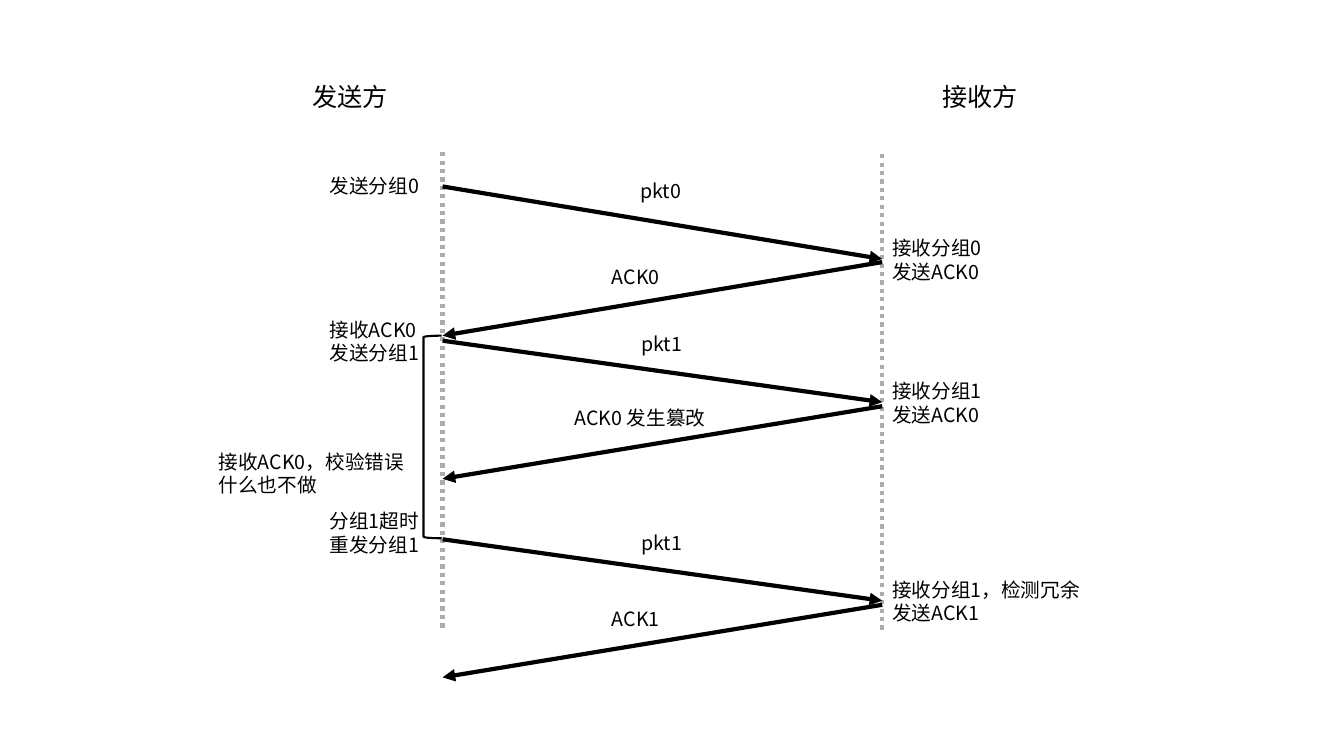
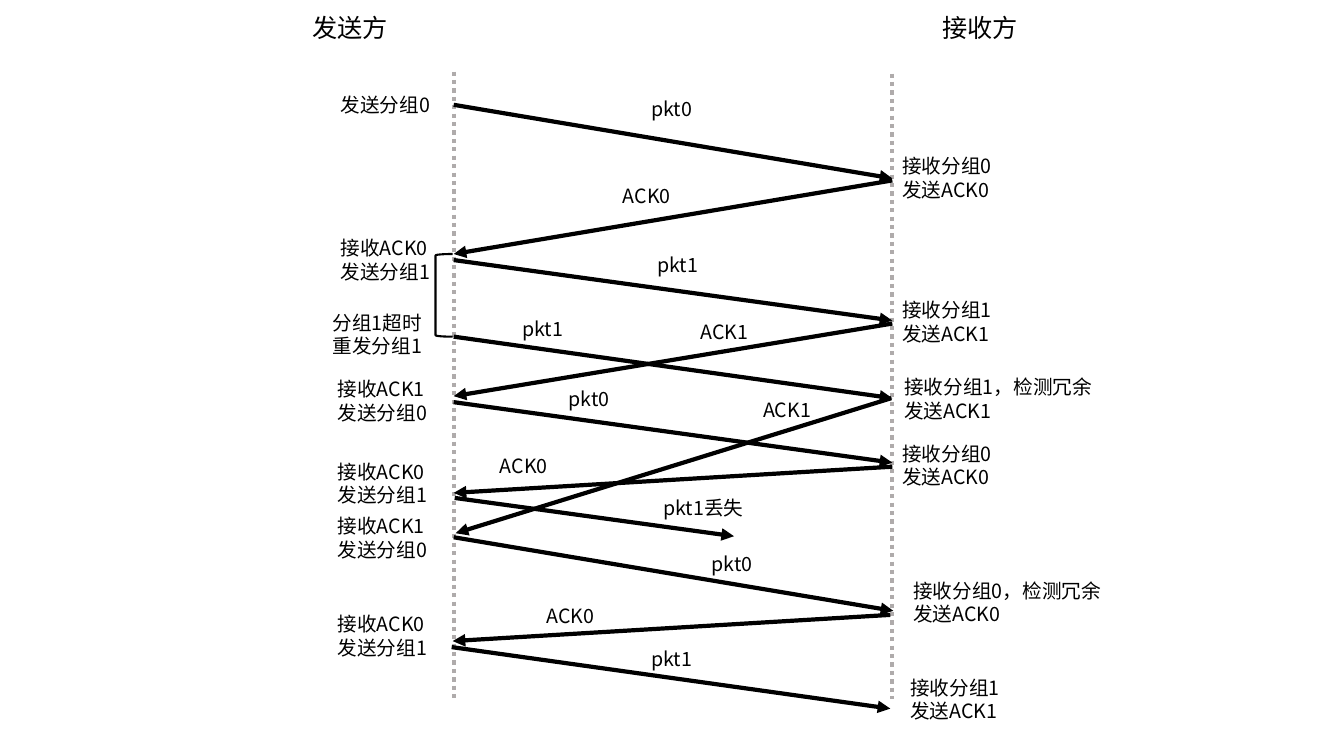
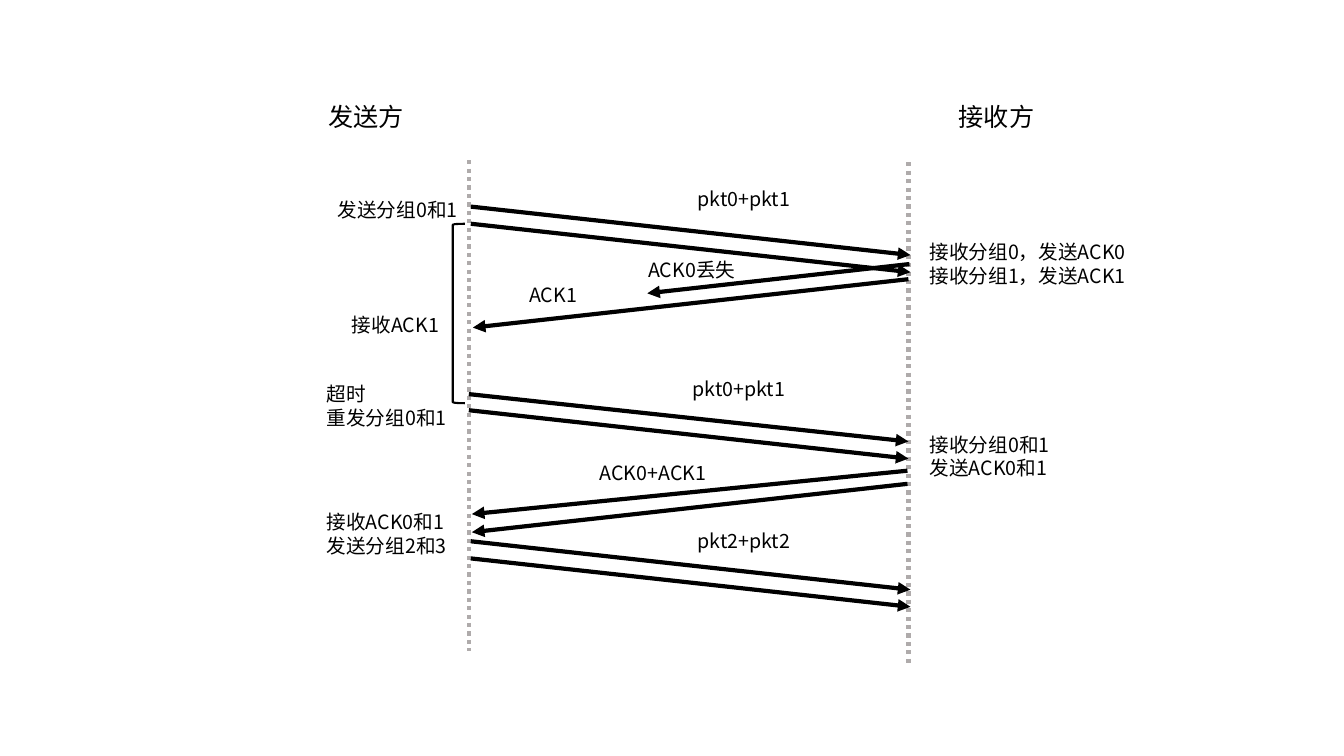
import dataclasses
import lxml.etree
import pptx
import pptx.dml.color
import pptx.enum.dml
import pptx.enum.shapes
import pptx.enum.text
import pptx.oxml.ns
import pptx.util

Inches = pptx.util.Inches
Pt = pptx.util.Pt
qn = pptx.oxml.ns.qn


@dataclasses.dataclass(frozen=True)
class Theme:
    font: str = "Noto Sans CJK SC"
    ink: str = "000000"
    lifeline: str = "AFABAB"
    head: int = 18
    body: int = 14
    leading: float = 1.21
    stroke: float = 3
    bracket: float = 1.5


theme = Theme()


def add_label(slide, left, top, width, text, size=theme.body):
    lines = text.split("\n")
    pitch = size * theme.leading
    height = 0.1 + len(lines) * pitch / 72
    sp = slide.shapes.add_textbox(Inches(left), Inches(top), Inches(width), Inches(height))
    tf = sp.text_frame
    tf.text = text
    for name, value in {
        "word_wrap": True,
        "auto_size": pptx.enum.text.MSO_AUTO_SIZE.SHAPE_TO_FIT_TEXT,
    }.items():
        setattr(tf, name, value)
    for p in tf.paragraphs:
        p.line_spacing = Pt(round(pitch, 1))
        for r in p.runs:
            r.font.color.rgb = pptx.dml.color.RGBColor.from_string(theme.ink)
            for name, value in {"name": theme.font, "size": Pt(size)}.items():
                setattr(r.font, name, value)
            ea = lxml.etree.SubElement(r._r.get_or_add_rPr(), qn("a:ea"))
            ea.set("typeface", theme.font)


def add_line(slide, x1, y1, x2, y2, color, dash=None, arrow=False):
    sp = slide.shapes.add_connector(
        pptx.enum.shapes.MSO_CONNECTOR.STRAIGHT,
        Inches(x1), Inches(y1), Inches(x2), Inches(y2),
    )
    sp.line.color.rgb = pptx.dml.color.RGBColor.from_string(color)
    for name, value in {"width": Pt(theme.stroke), "dash_style": dash}.items():
        setattr(sp.line, name, value)
    props = sp.element.spPr
    if arrow:
        lxml.etree.SubElement(props.find(qn("a:ln")), qn("a:tailEnd")).set("type", "triangle")
    lxml.etree.SubElement(props, qn("a:effectLst"))


corrupted_ack = {
    "lifelines": [(4.39, 1.51, 6.26), (8.75, 1.53, 6.28)],
    "heads": (3, 9.25, 0.76),
    "bracket": (4.2, 3.33, 0.18, 2.01),
    "arrows": [
        (4.39, 1.85, 8.75, 2.57),
        (8.75, 2.6, 4.39, 3.33),
        (4.39, 3.38, 8.75, 3.99),
        (8.75, 4.03, 4.39, 4.75),
        (4.39, 5.35, 8.75, 5.96),
        (8.75, 6, 4.39, 6.72),
    ],
    "labels": [
        (3.17, 1.68, 1.21, "发送分组0"),
        (6.25, 1.72, 0.64, "pkt0"),
        (8.75, 2.29, 1.11, "接收分组0\n发送ACK0"),
        (5.97, 2.58, 0.78, "ACK0"),
        (3.17, 3.1, 1.21, "接收ACK0\n发送分组1"),
        (6.26, 3.24, 1.44, "pkt1"),
        (8.75, 3.71, 2.32, "接收分组1\n发送ACK0"),
        (5.6, 3.98, 1.67, "ACK0 发生篡改"),
        (3.17, 5, 1.21, "分组1超时\n重发分组1"),
        (6.26, 5.22, 0.63, "pkt1"),
        (8.75, 5.68, 2.32, "接收分组1，检测冗余\n发送ACK1"),
        (5.97, 5.97, 0.78, "ACK1"),
        (2.07, 4.41, 2.27, "接收ACK0，校验错误\n什么也不做"),
    ],
}

early_timeout = {
    "lifelines": [(4.5, 0.71, 6.93), (8.85, 0.73, 6.93)],
    "heads": (3, 9.25, 0.07),
    "bracket": (4.32, 2.52, 0.17, 0.82),
    "arrows": [
        (4.5, 1.04, 8.85, 1.77),
        (8.85, 1.79, 4.5, 2.52),
        (4.5, 2.58, 8.85, 3.18),
        (8.85, 3.21, 4.5, 3.93),
        (4.5, 3.34, 8.85, 3.95),
        (8.85, 4.63, 4.5, 4.89),
        (8.84, 3.95, 4.52, 5.29),
        (4.5, 3.99, 8.85, 4.59),
        (4.51, 4.94, 7.28, 5.32),
        (4.5, 5.33, 8.86, 6.06),
        (8.83, 6.1, 4.49, 6.36),
        (4.48, 6.42, 8.83, 7.03),
    ],
    "labels": [
        (3.28, 0.87, 1.21, "发送分组0"),
        (6.36, 0.91, 0.64, "pkt0"),
        (8.85, 1.48, 1.11, "接收分组0\n发送ACK0"),
        (6.08, 1.77, 0.78, "ACK0"),
        (3.28, 2.29, 1.21, "接收ACK0\n发送分组1"),
        (6.42, 2.46, 1.44, "pkt1"),
        (8.85, 2.91, 2.32, "接收分组1\n发送ACK1"),
        (6.85, 3.12, 0.78, "ACK1"),
        (3.2, 3.03, 1.21, "分组1超时\n重发分组1"),
        (8.85, 4.33, 2.32, "接收分组0\n发送ACK0"),
        (5.08, 3.09, 0.63, "pkt1"),
        (7.47, 3.9, 0.78, "ACK1"),
        (8.87, 3.67, 2.32, "接收分组1，检测冗余\n发送ACK1"),
        (5.54, 3.79, 0.63, "pkt0"),
        (3.25, 3.69, 1.21, "接收ACK1\n发送分组0"),
        (3.25, 4.51, 1.21, "接收ACK0\n发送分组1"),
        (5.32, 5.94, 0.78, "ACK0"),
        (3.25, 5.05, 1.21, "接收ACK1\n发送分组0"),
        (6.48, 4.87, 1.15, "pkt1丢失"),
        (6.96, 5.43, 0.64, "pkt0"),
        (8.96, 5.69, 2.32, "接收分组0，检测冗余\n发送ACK0"),
        (3.25, 6.02, 1.21, "接收ACK0\n发送分组1"),
        (6.36, 6.37, 0.63, "pkt1"),
        (8.93, 6.65, 2.32, "接收分组1\n发送ACK1"),
        (4.86, 4.45, 0.78, "ACK0"),
    ],
}

windowed = {
    "lifelines": [(4.65, 1.59, 6.46), (9.01, 1.61, 6.61)],
    "heads": (3.16, 9.41, 0.95),
    "bracket": (4.49, 2.22, 0.12, 1.78),
    "arrows": [
        (4.67, 2.05, 9.03, 2.53),
        (4.67, 2.22, 9.03, 2.7),
        (9.01, 2.77, 4.69, 3.25),
        (9.02, 2.62, 6.42, 2.91),
        (4.65, 3.91, 9.01, 4.38),
        (4.65, 4.07, 9.01, 4.55),
        (9, 4.8, 4.68, 5.28),
        (9, 4.67, 4.68, 5.1),
        (4.67, 5.37, 9.03, 5.85),
        (4.67, 5.54, 9.03, 6.02),
    ],
    "labels": [
        (3.25, 1.91, 1.44, "发送分组0和1"),
        (6.82, 1.8, 1.15, "pkt0+pkt1"),
        (9.12, 2.33, 2.23, "接收分组0，发送ACK0\n接收分组1，发送ACK1"),
        (3.39, 3.05, 1.21, "接收ACK1"),
        (9.12, 4.24, 1.42, "接收分组0和1\n发送ACK0和1"),
        (3.14, 3.74, 1.44, "超时\n重发分组0和1"),
        (6.33, 2.51, 1.15, "ACK0丢失"),
        (5.15, 2.76, 0.7, "ACK1"),
        (6.77, 3.69, 1.15, "pkt0+pkt1"),
        (5.85, 4.52, 1.37, "ACK0+ACK1"),
        (3.14, 5.01, 1.44, "接收ACK0和1\n发送分组2和3"),
        (6.82, 5.2, 1.15, "pkt2+pkt2"),
    ],
}

prs = pptx.Presentation()
for name, value in {"slide_width": Inches(13.33), "slide_height": Inches(7.5)}.items():
    setattr(prs, name, value)

for scene in (corrupted_ack, early_timeout, windowed):
    slide = prs.slides.add_slide(prs.slide_layouts[6])

    for x, top, bottom in scene["lifelines"]:
        add_line(slide, x, top, x, bottom, theme.lifeline,
                 dash=pptx.enum.dml.MSO_LINE.ROUND_DOT)

    sender, receiver, head_top = scene["heads"]
    for left, text in ((sender, "发送方"), (receiver, "接收方")):
        add_label(slide, left, head_top, 0.96, text, theme.head)

    for arrow in scene["arrows"]:
        add_line(slide, *arrow, theme.ink, arrow=True)

    sp = slide.shapes.add_shape(
        pptx.enum.shapes.MSO_SHAPE.LEFT_BRACKET,
        *(Inches(v) for v in scene["bracket"]),
    )
    sp.shadow.inherit = False
    sp.fill.background()
    sp.line.color.rgb = pptx.dml.color.RGBColor.from_string(theme.ink)
    sp.line.width = Pt(theme.bracket)

    for label in scene["labels"]:
        add_label(slide, *label)

prs.save("out.pptx")
